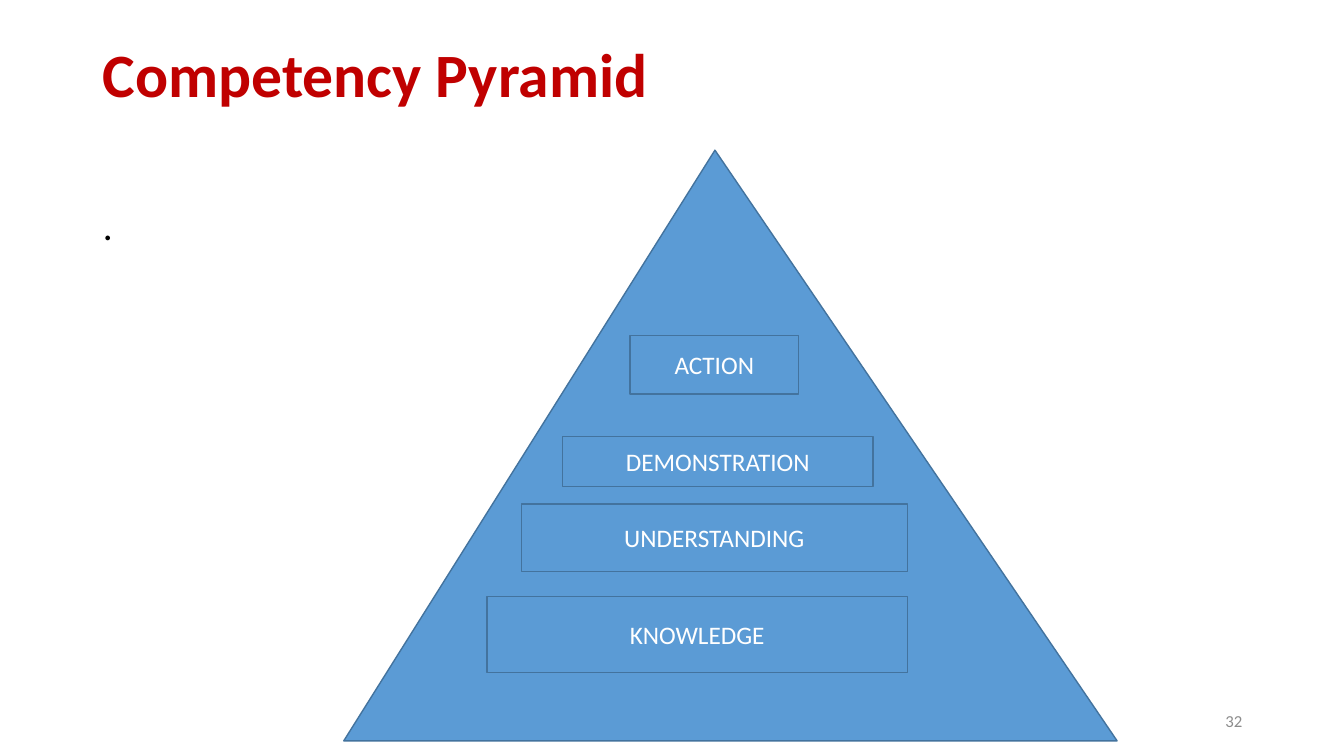
from dataclasses import dataclass

from lxml import etree
from pptx import Presentation
from pptx import util as u
from pptx.dml.color import RGBColor
from pptx.enum import shapes, text
from pptx.oxml.ns import qn


@dataclass(frozen=True)
class Theme:
    font: str = "Calibri"
    title_color: str = "C00000"
    body_color: str = "000000"
    label_color: str = "FFFFFF"
    number_color: str = "8C8C8C"
    fill: str = "5B9BD5"
    line: str = "43739E"
    title_size: int = 44
    body_size: int = 28
    label_size: int = 18
    number_size: int = 12


THEME = Theme()

# Levels from the base up: label, left, top, width, height
LEVELS = [
    ("KNOWLEDGE", 4.83, 5.92, 4.17, 0.75),
    ("UNDERSTANDING", 5.17, 5, 3.83, 0.67),
    ("DEMONSTRATION", 5.58, 4.33, 3.08, 0.5),
    ("ACTION", 6.25, 3.33, 1.67, 0.58),
]


def place(box, left, top, width, height):
    box.left, box.top = u.Inches(left), u.Inches(top)
    box.width, box.height = u.Inches(width), u.Inches(height)


def write(box, words, size, color, align, anchor, bold=False):
    """Put one formatted paragraph into a box and return the paragraph."""
    frame = box.text_frame
    frame.text = words
    frame.word_wrap = True
    frame.auto_size = text.MSO_AUTO_SIZE.NONE
    frame.vertical_anchor = anchor
    para = frame.paragraphs[0]
    para.alignment = align
    para.space_before = u.Pt(0)
    for span in para.runs:
        span.font.name = THEME.font
        span.font.size = u.Pt(size)
        span.font.bold = bold
        span.font.color.rgb = RGBColor.from_string(color)
    return para


def add_title(page, words):
    box = page.shapes.title
    place(box, 0.92, 0.24, 11.5, 1.06)
    para = write(box, words, THEME.title_size, THEME.title_color,
                 text.PP_ALIGN.LEFT, text.MSO_ANCHOR.MIDDLE, bold=True)
    para.line_spacing = 0.9


def add_body(page, words):
    box = page.placeholders[1]
    place(box, 0.92, 2, 11.5, 4.76)
    para = write(box, words, THEME.body_size, THEME.body_color,
                 text.PP_ALIGN.LEFT, text.MSO_ANCHOR.TOP)
    para.line_spacing = 0.9
    # Plain text without bullet or indent
    properties = para._p.get_or_add_pPr()
    properties.set("marL", "0")
    properties.set("indent", "0")
    etree.SubElement(properties, qn("a:buNone"))


def add_block(page, kind, left, top, width, height):
    block = page.shapes.add_shape(kind, u.Inches(left), u.Inches(top),
                                  u.Inches(width), u.Inches(height))
    block.shadow.inherit = False
    block.fill.solid()
    block.fill.fore_color.rgb = RGBColor.from_string(THEME.fill)
    block.line.color.rgb = RGBColor.from_string(THEME.line)
    block.line.width = u.Pt(1)
    return block


def add_level(page, label, left, top, width, height):
    block = add_block(page, shapes.MSO_SHAPE.RECTANGLE, left, top, width, height)
    write(block, label, THEME.label_size, THEME.label_color,
          text.PP_ALIGN.CENTER, text.MSO_ANCHOR.MIDDLE)


def add_page_number(page, number):
    box = page.shapes.add_textbox(u.Inches(9.42), u.Inches(6.95),
                                  u.Inches(3), u.Inches(0.4))
    write(box, number, THEME.number_size, THEME.number_color,
          text.PP_ALIGN.RIGHT, text.MSO_ANCHOR.MIDDLE)


def main():
    deck = Presentation()
    deck.slide_width, deck.slide_height = u.Inches(13.33), u.Inches(7.5)
    page = deck.slides.add_slide(deck.slide_layouts[1])

    # Title and body text
    add_title(page, "Competency Pyramid")
    add_body(page, ".")

    # Pyramid with its levels
    pyramid = add_block(page, shapes.MSO_SHAPE.ISOSCELES_TRIANGLE,
                        3.41, 1.49, 7.67, 5.86)
    pyramid.adjustments[0] = 0.48
    for level in LEVELS:
        add_level(page, *level)

    # Footer
    add_page_number(page, "32")
    deck.save("out.pptx")


if __name__ == "__main__":
    main()
